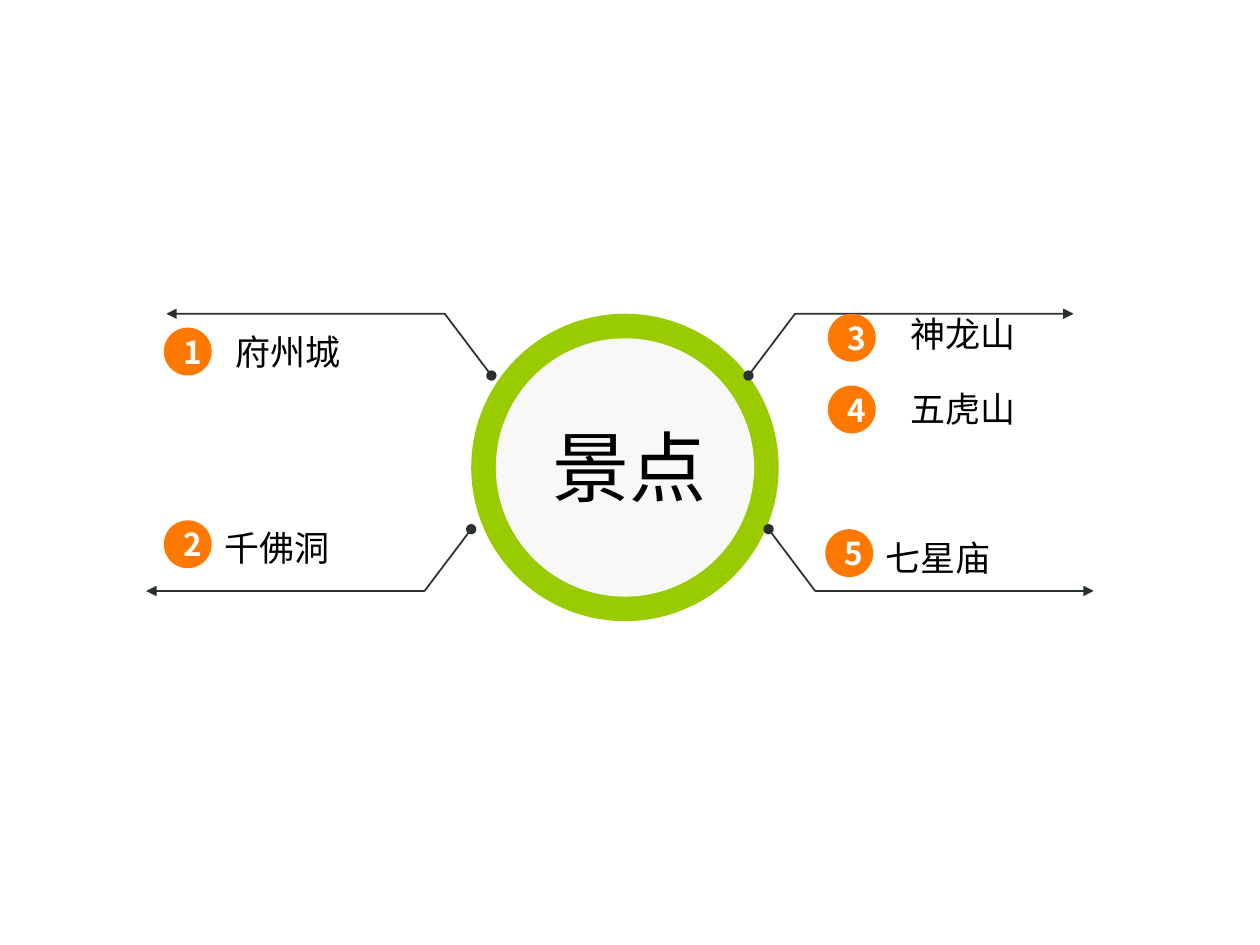
from dataclasses import dataclass
from itertools import product

from lxml.etree import SubElement
from pptx import Presentation
from pptx.dml.color import RGBColor
from pptx.enum.shapes import MSO_SHAPE
from pptx.enum.text import MSO_ANCHOR, PP_ALIGN
from pptx.oxml.ns import qn
from pptx.util import Inches, Pt

CELL = Inches(0.1)
COLUMNS, ROWS = 100, 75
BADGE_SIZE = 3.8
LABEL_HEIGHT = 4.4
RING_CENTER = (49.6, 37.1)
LEADER_AXIS = 49.2
LEADER_SLANT, LEADER_RUN, LEADER_RISE = 3.7, 22.1, 4.9
NUMBER_FONT, LABEL_FONT = "Noto Sans CJK JP", "Noto Sans CJK SC"


@dataclass(frozen=True)
class Attraction:
    number: int
    name: str
    badge: tuple[float, float]
    label: tuple[float, float]
    label_width: float


@dataclass(frozen=True)
class LeaderRow:
    reach: float
    start: float
    direction: int


ATTRACTIONS = [
    Attraction(1, "府州城", (13.0, 26.0), (17.7, 25.7), 11.8),
    Attraction(2, "千佛洞", (13.0, 41.3), (16.8, 41.3), 15.5),
    Attraction(3, "神龙山", (65.7, 24.9), (71.3, 24.3), 11.8),
    Attraction(4, "五虎山", (65.7, 30.6), (71.3, 30.3), 11.8),
    Attraction(5, "七星庙", (65.5, 42.0), (69.3, 42.1), 15.9),
]
LEADER_ROWS = [LeaderRow(10.2, 29.8, -1), LeaderRow(11.8, 42.0, 1)]


def grid(cells: float) -> int:
    return round(cells * CELL)


def color(value: str) -> RGBColor:
    return RGBColor.from_string(value)


def write(frame, text: str, size: int, face: str, ink: str, bold: bool = False):
    frame.word_wrap = True
    paragraph = frame.paragraphs[0]
    paragraph.text = text
    font = paragraph.font
    font.size, font.name, font.bold = Pt(size), face, bold
    font.color.rgb = color(ink)
    defaults = paragraph._p.pPr.find(qn("a:defRPr"))
    SubElement(defaults, qn("a:ea"), typeface=face)
    return paragraph


def draw_disc(slide, left: float, top: float, size: float, fill: str):
    disc = slide.shapes.add_shape(
        MSO_SHAPE.OVAL, grid(left), grid(top), grid(size), grid(size))
    disc.shadow.inherit = False
    disc.fill.solid()
    disc.fill.fore_color.rgb = color(fill)
    disc.line.fill.background()
    return disc


def draw_ring_layer(slide, size: float, fill: str) -> None:
    center_x, center_y = RING_CENTER
    draw_disc(slide, center_x - size / 2, center_y - size / 2, size, fill)


def draw_leader(slide, row: LeaderRow, side: int) -> None:
    start_x = LEADER_AXIS + side * row.reach
    elbow_x = start_x + side * LEADER_SLANT
    end_x = elbow_x + side * LEADER_RUN
    level = row.start + row.direction * LEADER_RISE
    outline = slide.shapes.build_freeform(grid(start_x), grid(row.start))
    outline.add_line_segments(
        [(grid(elbow_x), grid(level)), (grid(end_x), grid(level))], close=False)
    leader = outline.convert_to_shape()
    leader.shadow.inherit = False
    leader.fill.background()
    leader.line.color.rgb = color("293130")
    leader.line.width = Pt(1)
    stroke = leader.line._get_or_add_ln()
    SubElement(stroke, qn("a:headEnd"), type="oval")
    SubElement(stroke, qn("a:tailEnd"), type="triangle")


def draw_badge(slide, attraction: Attraction) -> None:
    badge = draw_disc(slide, *attraction.badge, BADGE_SIZE, "FF7800")
    badge.text_frame.vertical_anchor = MSO_ANCHOR.MIDDLE
    number = write(badge.text_frame, str(attraction.number), 18,
                   NUMBER_FONT, "FFFFFF", bold=True)
    number.alignment = PP_ALIGN.CENTER


def draw_label(slide, text: str, left: float, top: float, width: float,
               height: float, size: int, face: str) -> None:
    label = slide.shapes.add_textbox(
        grid(left), grid(top), grid(width), grid(height))
    write(label.text_frame, text, size, face, "000000")


def main() -> None:
    deck = Presentation()
    deck.slide_width, deck.slide_height = grid(COLUMNS), grid(ROWS)
    slide = deck.slides.add_slide(deck.slide_layouts[6])
    draw_ring_layer(slide, 24.4, "99CC00")
    draw_ring_layer(slide, 20.5, "F8F8F8")
    for side, row in product((-1, 1), LEADER_ROWS):
        draw_leader(slide, row, side)
    for attraction in ATTRACTIONS:
        draw_badge(slide, attraction)
        draw_label(slide, attraction.name, *attraction.label,
                   attraction.label_width, LABEL_HEIGHT, 20, LABEL_FONT)
    draw_label(slide, "景点", 42.9, 32.8, 15.7, 8.4, 44, NUMBER_FONT)
    deck.save("out.pptx")


if __name__ == "__main__":
    main()
